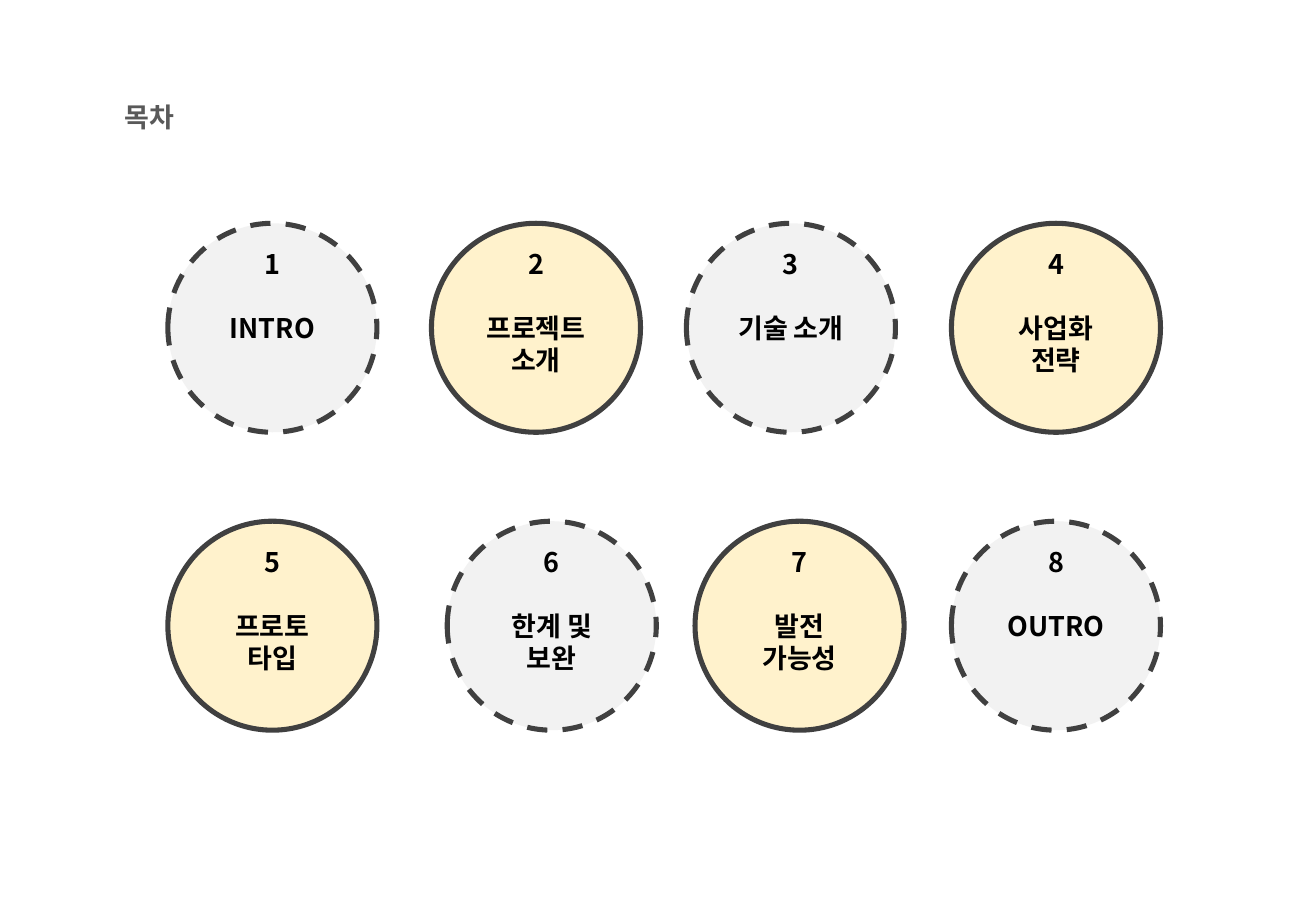
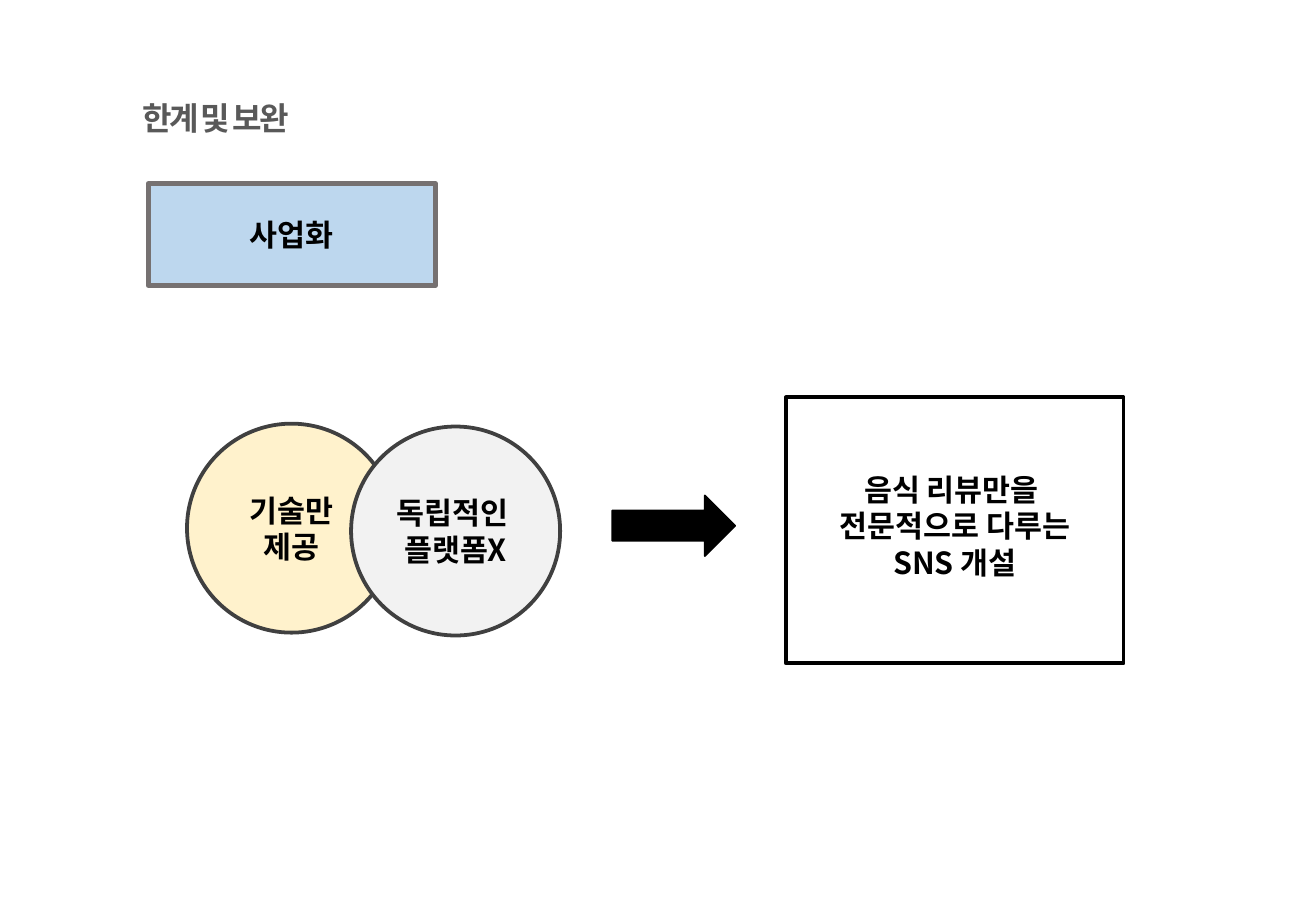
from dataclasses import dataclass
from typing import Optional

from lxml.etree import SubElement
from pptx import Presentation
from pptx.dml.color import RGBColor
from pptx.enum.dml import MSO_LINE_DASH_STYLE as Dash
from pptx.enum.shapes import MSO_SHAPE as Preset
from pptx.enum.text import MSO_ANCHOR as Anchor, MSO_AUTO_SIZE as AutoSize, PP_ALIGN as Align
from pptx.oxml.ns import qn
from pptx.util import Cm, Pt

FONT = "Noto Sans CJK KR"
BLACK = RGBColor(0x00, 0x00, 0x00)
WHITE = RGBColor(0xFF, 0xFF, 0xFF)
TITLE_GREY = RGBColor(0x59, 0x59, 0x59)
OUTLINE = RGBColor(0x40, 0x40, 0x40)
GREY = RGBColor(0xF2, 0xF2, 0xF2)
CREAM = RGBColor(0xFF, 0xF2, 0xCC)
BLUE = RGBColor(0xBD, 0xD7, 0xEE)
BLUE_EDGE = RGBColor(0x76, 0x71, 0x71)

TITLE_ONLY = 5
TITLE_WIDTH = 11.05
DIAMETER = 4.37
CHAPTER_SIZE = 16
CHAPTER_LINE = 19  # line pitch in points
CHAPTER_LINES = 5  # number, gap, label of up to two lines, space below
CIRCLE_LEFTS = ((3.51, 9.02, 14.35, 19.89), (3.51, 9.35, 14.53, 19.89))
CIRCLE_TOPS = (4.67, 10.9)


@dataclass
class Figure:
    """A preset shape; places and sizes are in centimetres."""
    preset: Preset
    left: float
    top: float
    width: float
    height: float
    fill: RGBColor
    line: RGBColor
    line_width: float
    lines: tuple[str, ...] = ()
    dash: Optional[Dash] = None
    bottom_margin: float = 0


@dataclass
class Chapter:
    lines: tuple[str, ...]
    line_count: int


CHAPTERS = (
    (Chapter(("INTRO",), 1), Chapter(("프로젝트 소개",), 2),
     Chapter(("기술 소개",), 1), Chapter(("사업화", "전략"), 2)),
    (Chapter(("프로토", "타입"), 2), Chapter(("한계 및", "보완"), 2),
     Chapter(("발전", "가능성"), 2), Chapter(("OUTRO",), 1)),
)

LIMIT_FIGURES = (
    Figure(Preset.RECTANGLE, 3.1, 3.84, 6, 2.13, BLUE, BLUE_EDGE, 3, ("사업화",)),
    Figure(Preset.OVAL, 3.91, 8.86, DIAMETER, DIAMETER, CREAM, OUTLINE, 2.25,
           ("기술만", "제공")),
    Figure(Preset.RIGHT_ARROW, 12.8, 10.36, 2.57, 1.27, BLACK, BLACK, 1),
    Figure(Preset.OVAL, 7.34, 8.92, DIAMETER, DIAMETER, GREY, OUTLINE, 2.25,
           ("독립적인 ", "플랫폼X")),
    Figure(Preset.RECTANGLE, 16.43, 8.31, 7.06, 5.56, WHITE, BLACK, 2.25,
           ("음식 리뷰만을 ", "전문적으로 다루는", "SNS 개설"), bottom_margin=0.2),
)


def style_paragraph(para, size: float, color: RGBColor, align: Align, spacing: float = 0) -> None:
    para.alignment = align
    font = para.font
    font.size, font.bold, font.name = Pt(size), True, FONT
    font.color.rgb = color
    # Korean glyphs take the East Asian typeface
    properties = para._p.pPr.find(qn("a:defRPr"))
    SubElement(properties, qn("a:ea"), typeface=FONT)
    if spacing:
        properties.set("spc", str(int(spacing * 100)))


def add_titled_slide(deck, text: str, left: float, top: float, height: float, size: float):
    page = deck.slides.add_slide(deck.slide_layouts[TITLE_ONLY])
    title = page.shapes.title
    title.left, title.top = Cm(left), Cm(top)
    title.width, title.height = Cm(TITLE_WIDTH), Cm(height)
    frame = title.text_frame
    frame.text = text
    frame.auto_size = AutoSize.NONE
    frame.vertical_anchor = Anchor.TOP
    style_paragraph(frame.paragraphs[0], size, TITLE_GREY, Align.LEFT, -1.5)
    return page


def add_figure(page, figure: Figure, size: float = 18):
    shape = page.shapes.add_shape(figure.preset, Cm(figure.left), Cm(figure.top),
                                  Cm(figure.width), Cm(figure.height))
    shape.shadow.inherit = False
    shape.fill.solid()
    shape.fill.fore_color.rgb = figure.fill
    shape.line.color.rgb = figure.line
    shape.line.width = Pt(figure.line_width)
    if figure.dash:
        shape.line.dash_style = figure.dash
    if figure.lines:
        frame = shape.text_frame
        frame.word_wrap = True
        frame.vertical_anchor = Anchor.MIDDLE
        frame.margin_left = frame.margin_right = Cm(0.1)
        frame.margin_top, frame.margin_bottom = 0, Cm(figure.bottom_margin)
        frame.text = "\n".join(figure.lines)
        for para in frame.paragraphs:
            style_paragraph(para, size, BLACK, Align.CENTER)
    return shape


def add_chapter(page, row: int, column: int, chapter: Chapter) -> None:
    dashed = (row + column) % 2 == 0
    number = row * len(CHAPTERS[0]) + column + 1
    circle = add_figure(page, Figure(
        Preset.OVAL, CIRCLE_LEFTS[row][column], CIRCLE_TOPS[row], DIAMETER, DIAMETER,
        GREY if dashed else CREAM, OUTLINE, 3, (str(number), *chapter.lines),
        Dash.DASH if dashed else None), CHAPTER_SIZE)
    # Keep every number at the same height, whatever the label length
    frame = circle.text_frame
    frame.margin_left = frame.margin_right = Cm(0.25)
    frame.margin_bottom = Pt(CHAPTER_LINE * (CHAPTER_LINES - 2 - chapter.line_count))
    frame.paragraphs[0].space_after = Pt(CHAPTER_LINE)


def main() -> None:
    deck = Presentation()
    deck.slide_width, deck.slide_height = Cm(27.51), Cm(19.05)

    # Contents
    page = add_titled_slide(deck, "목 차", 2.34, 1.98, 0.94, 16)
    for row, chapters in enumerate(CHAPTERS):
        for column, chapter in enumerate(chapters):
            add_chapter(page, row, column, chapter)

    # Limits and improvements
    page = add_titled_slide(deck, "한계 및 보완", 2.72, 1.93, 1.07, 19)
    for figure in LIMIT_FIGURES:
        add_figure(page, figure)

    deck.save("out.pptx")


if __name__ == "__main__":
    main()
